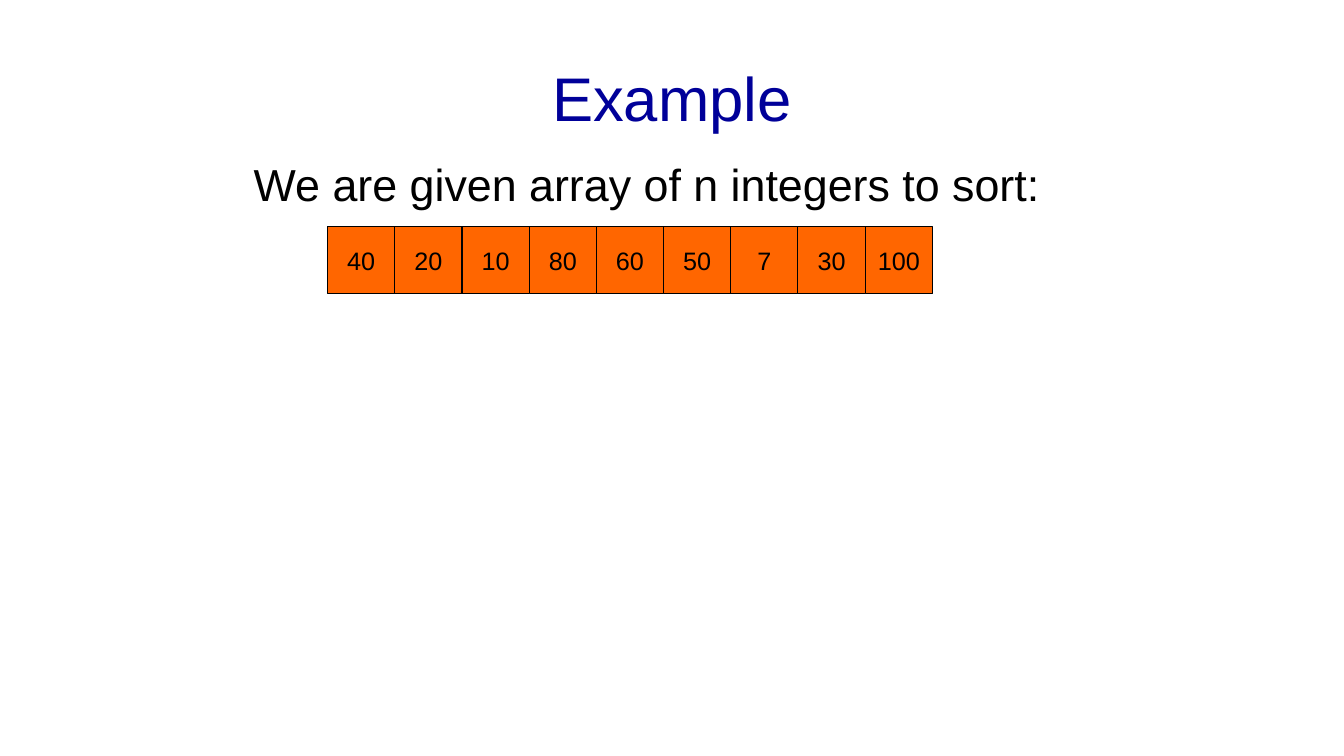
import pptx
import pptx.dml.color
import pptx.enum.shapes
import pptx.enum.text
import pptx.oxml.ns
import pptx.util
import lxml.etree

COLORS = {"title": "000099", "text": "000000", "cell": "FF6600", "line": "000000"}
FONT = "Arial"

# The slide is a grid of 160 columns by 90 rows
UNIT = pptx.util.Inches(1) // 12
COLUMNS, ROWS = 160, 90
TITLE_BOX = (29, 4, 102, 15)
BODY_BOX = (29, 18, 102, 54)
ARRAY_BOX = (39, 27, 72, 8)
NUMBERS = [40, 20, 10, 80, 60, 50, 7, 30, 100]


def color(name):
    return pptx.dml.color.RGBColor.from_string(COLORS[name])


def place(shape, box):
    shape.left, shape.top, shape.width, shape.height = (
        round(length * UNIT) for length in box)


def write(shape, text, size, color_name, alignment, anchor):
    frame = shape.text_frame
    frame.text = text
    frame.auto_size = pptx.enum.text.MSO_AUTO_SIZE.NONE
    frame.vertical_anchor = anchor
    paragraph = frame.paragraphs[0]
    paragraph.alignment = alignment
    paragraph.font.name = FONT
    paragraph.font.size = pptx.util.Pt(size)
    paragraph.font.color.rgb = color(color_name)
    return paragraph


def add_title(slide, box):
    title = slide.shapes.title
    place(title, box)
    write(title, "Example", 44, "title", pptx.enum.text.PP_ALIGN.CENTER,
          pptx.enum.text.MSO_ANCHOR.MIDDLE)


def add_body(slide, box):
    body = slide.placeholders[1]
    place(body, box)
    paragraph = write(body, "We are given array of n integers to sort:", 32, "text",
                      pptx.enum.text.PP_ALIGN.LEFT, pptx.enum.text.MSO_ANCHOR.TOP)
    # Hanging indent without a bullet
    properties = paragraph._p.get_or_add_pPr()
    indent = pptx.util.Inches(0.38)
    properties.set("marL", str(indent))
    properties.set("indent", str(-indent))
    lxml.etree.SubElement(properties, pptx.oxml.ns.qn("a:buNone"))


def add_array(slide, box, numbers):
    left, top, width, height = box
    cell_width = width / len(numbers)
    for index, number in enumerate(numbers):
        cell = slide.shapes.add_shape(
            pptx.enum.shapes.MSO_SHAPE.RECTANGLE, 0, 0, UNIT, UNIT)
        place(cell, (left + index * cell_width, top, cell_width, height))
        cell.shadow.inherit = False
        cell.fill.solid()
        cell.fill.fore_color.rgb = color("cell")
        cell.line.color.rgb = color("line")
        cell.line.width = pptx.util.Pt(0.75)
        write(cell, str(number), 18, "text", pptx.enum.text.PP_ALIGN.CENTER,
              pptx.enum.text.MSO_ANCHOR.MIDDLE)
        cell.text_frame.word_wrap = False


def main():
    presentation = pptx.Presentation()
    presentation.slide_width = COLUMNS * UNIT
    presentation.slide_height = ROWS * UNIT
    # Title and content layout
    slide = presentation.slides.add_slide(presentation.slide_layouts[1])
    add_title(slide, TITLE_BOX)
    add_body(slide, BODY_BOX)
    add_array(slide, ARRAY_BOX, NUMBERS)
    presentation.save("out.pptx")


if __name__ == "__main__":
    main()
